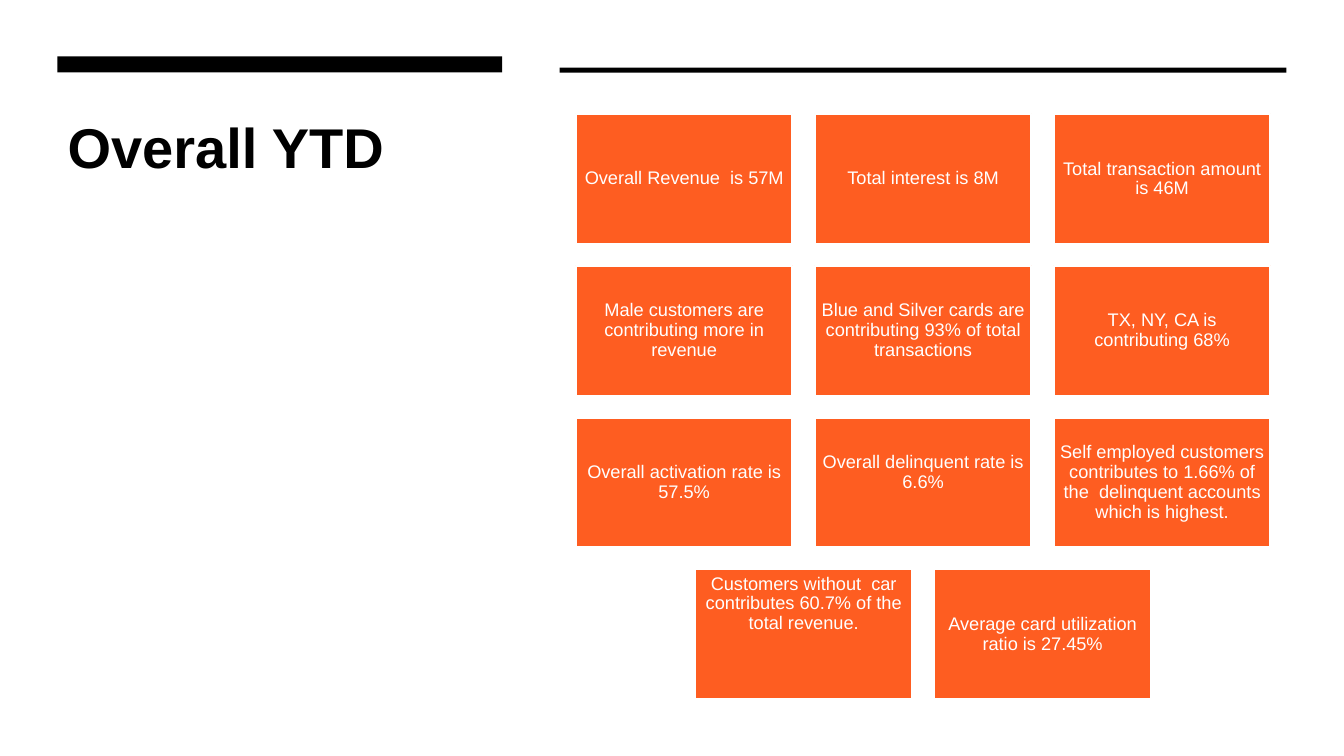
import pptx
import pptx.dml.color
import pptx.enum.shapes
import pptx.enum.text
import pptx.util

Inches = pptx.util.Inches
Pt = pptx.util.Pt
Align = pptx.enum.text.PP_ALIGN
Anchor = pptx.enum.text.MSO_ANCHOR

COLOURS = {"white": "FFFFFF", "black": "000000", "orange": "FE5D21"}
FONT = "Arial"
COLUMNS = 3
CARD_WIDTH, CARD_HEIGHT = 2.15, 1.29
COLUMN_STEP, ROW_STEP = 2.37, 1.506
GRID_LEFT, GRID_TOP = 5.71, 1.13
INSET = 0.05
LINE_HEIGHT = 0.2

CARDS = [
    ("Overall Revenue  is 57M", 0),
    ("Total interest is 8M", 0),
    ("Total transaction amount is 46M", 0),
    ("Male customers are contributing more in revenue", 0),
    ("Blue and Silver cards are contributing 93% of total transactions", 0),
    ("TX, NY, CA is contributing 68%", 0),
    ("Overall activation rate is 57.5%", 0),
    ("Overall delinquent rate is 6.6%", 1),
    ("Self employed customers contributes to 1.66% of the  delinquent accounts which is highest.", 0),
    ("Customers without  car contributes 60.7% of the total revenue.", 3),
    ("Average card utilization ratio is 27.45%", 0),
]


def colour(name):
    return pptx.dml.color.RGBColor.from_string(COLOURS[name])


def write_text(shape, text, size, color, bold=False, align=Align.LEFT,
               anchor=Anchor.TOP, line_spacing=1.0, space_after=0):
    frame = shape.text_frame
    frame.word_wrap = True
    frame.auto_size = pptx.enum.text.MSO_AUTO_SIZE.NONE
    frame.vertical_anchor = anchor
    paragraph = frame.paragraphs[0]
    paragraph.alignment = align
    paragraph.line_spacing = line_spacing
    paragraph.space_after = Pt(space_after)
    run = paragraph.add_run()
    run.text = text
    run.font.name = FONT
    run.font.size = Pt(size)
    run.font.bold = bold
    run.font.color.rgb = colour(color)


def add_rectangle(slide, left, top, width, height, fill, line=None):
    shape = slide.shapes.add_shape(
        pptx.enum.shapes.MSO_SHAPE.RECTANGLE,
        Inches(left), Inches(top), Inches(width), Inches(height))
    shape.shadow.inherit = False
    shape.fill.solid()
    shape.fill.fore_color.rgb = colour(fill)
    if line:
        shape.line.color.rgb = colour(line)
        shape.line.width = Pt(1.5)
    else:
        shape.line.fill.background()
    return shape


def add_title(slide, text):
    title = slide.shapes.title
    title.left, title.top = Inches(0.57), Inches(1.07)
    title.width, title.height = Inches(4.41), Inches(2.32)
    write_text(title, text, size=40, color="black", bold=True)


def add_card(slide, left, top, text, lines_raised):
    card = add_rectangle(slide, left, top, CARD_WIDTH, CARD_HEIGHT, "orange", line="white")
    frame = card.text_frame
    frame.margin_left = frame.margin_right = frame.margin_top = Inches(INSET)
    frame.margin_bottom = Inches(INSET + lines_raised * LINE_HEIGHT)
    write_text(card, text, size=13, color="white", align=Align.CENTER,
               anchor=Anchor.MIDDLE, line_spacing=0.9, space_after=4.55)


def add_card_grid(slide):
    for index, (text, lines_raised) in enumerate(CARDS):
        row, column = divmod(index, COLUMNS)
        cards_in_row = min(COLUMNS, len(CARDS) - row * COLUMNS)
        indent = (COLUMNS - cards_in_row) * COLUMN_STEP / 2
        add_card(slide, GRID_LEFT + indent + column * COLUMN_STEP,
                 GRID_TOP + row * ROW_STEP, text, lines_raised)


def main():
    presentation = pptx.Presentation()
    presentation.slide_width = Inches(13.33)
    presentation.slide_height = Inches(7.5)
    slide = presentation.slides.add_slide(presentation.slide_layouts.get_by_name("Title Only"))
    slide.background.fill.solid()
    slide.background.fill.fore_color.rgb = colour("white")
    add_title(slide, "Overall YTD")
    add_rectangle(slide, 0.57, 0.56, 4.41, 0.16, "black")
    add_rectangle(slide, 5.55, 0.67, 7.21, 0.05, "black")
    add_card_grid(slide)
    presentation.save("out.pptx")


if __name__ == "__main__":
    main()
